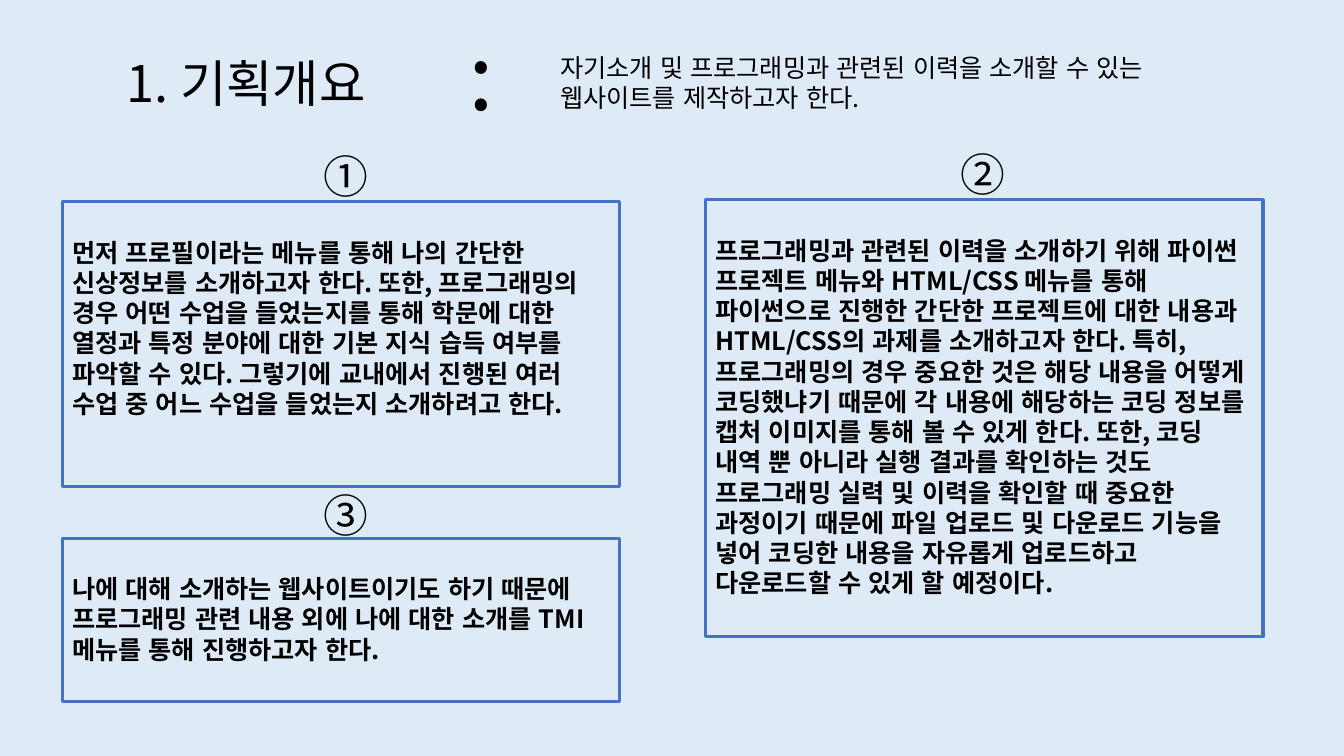
from dataclasses import dataclass

from lxml import etree
from pptx import Presentation
from pptx.dml.color import RGBColor
from pptx.enum.lang import MSO_LANGUAGE_ID
from pptx.enum.shapes import MSO_SHAPE
from pptx.enum.text import MSO_ANCHOR, MSO_AUTO_SIZE, PP_ALIGN
from pptx.oxml.ns import qn
from pptx.util import Cm, Pt

RECT = MSO_SHAPE.RECTANGLE
TOP = MSO_ANCHOR.TOP
LEFT = PP_ALIGN.LEFT
GROW = MSO_AUTO_SIZE.SHAPE_TO_FIT_TEXT
KOREAN = MSO_LANGUAGE_ID.KOREAN
FONT = "Noto Sans CJK KR"
COLORS = {"background": "DEEBF7", "border": "4472C4", "text": "000000"}
PANEL_WIDTH = 14.05
BADGE_WIDTH, BADGE_HEIGHT = 3.18, 1.63


@dataclass
class Label:
    left: float
    top: float
    width: float
    height: float
    size: int
    text: str


@dataclass
class Panel:
    left: float
    top: float
    height: float
    badge: str
    badge_left: float
    badge_top: float
    text: str


LABELS = [
    Label(2.95, 1.19, 16.31, 1.8, 36, "1. 기획개요"),
    Label(13.87, 1.19, 16.31, 2.57, 18,
          "자기소개 및 프로그래밍과 관련된 이력을 소개할 수 있는 웹사이트를 제작하고자 한다."),
    Label(11.56, 0.33, 2.64, 3.07, 66, ":"),
]

PANELS = [
    Panel(1.57, 5.08, 7.19, "①", 7.9, 3.63,
          "먼저 프로필이라는 메뉴를 통해 나의 간단한 신상정보를 소개하고자 한다. "
          "또한, 프로그래밍의 경우 어떤 수업을 들었는지를 통해 학문에 대한 열정과 "
          "특정 분야에 대한 기본 지식 습득 여부를 파악할 수 있다. 그렇기에 교내에서 "
          "진행된 여러 수업 중 어느 수업을 들었는지 소개하려고 한다."),
    Panel(17.78, 5.03, 11.02, "②", 23.95, 3.58,
          "프로그래밍과 관련된 이력을 소개하기 위해 파이썬 프로젝트 메뉴와 HTML/CSS "
          "메뉴를 통해 파이썬으로 진행한 간단한 프로젝트에 대한 내용과 HTML/CSS의 "
          "과제를 소개하고자 한다. 특히, 프로그래밍의 경우 중요한 것은 해당 내용을 "
          "어떻게 코딩했냐기 때문에 각 내용에 해당하는 코딩 정보를 캡처 이미지를 통해 "
          "볼 수 있게 한다. 또한, 코딩 내역 뿐 아니라 실행 결과를 확인하는 것도 "
          "프로그래밍 실력 및 이력을 확인할 때 중요한 과정이기 때문에 파일 업로드 및 "
          "다운로드 기능을 넣어 코딩한 내용을 자유롭게 업로드하고 다운로드할 수 있게 "
          "할 예정이다."),
    Panel(1.57, 13.56, 4.11, "③", 7.9, 12.17,
          "나에 대해 소개하는 웹사이트이기도 하기 때문에 프로그래밍 관련 내용 외에 "
          "나에 대한 소개를 TMI메뉴를 통해 진행하고자 한다."),
]


def set_all(target, values: dict) -> None:
    for name, value in values.items():
        setattr(target, name, value)


def write(tf, text: str, size: int, bold: bool, frame: dict) -> None:
    set_all(tf, {"word_wrap": True, "vertical_anchor": TOP, **frame})
    p = tf.paragraphs[0]
    p.alignment = LEFT
    r = p.add_run()
    r.text = text
    set_all(r.font, {"name": FONT, "size": Pt(size), "bold": bold,
                     "language_id": KOREAN})
    r.font.color.rgb = RGBColor.from_string(COLORS["text"])
    ea = etree.SubElement(r.font._element, qn("a:ea"))
    ea.set("typeface", FONT)


def add_label(s, label: Label) -> None:
    sp = s.shapes.add_textbox(Cm(label.left), Cm(label.top),
                              Cm(label.width), Cm(label.height))
    write(sp.text_frame, label.text, label.size, False, {"auto_size": GROW})


def add_panel(s, panel: Panel) -> None:
    sp = s.shapes.add_shape(RECT, Cm(panel.left), Cm(panel.top),
                            Cm(PANEL_WIDTH), Cm(panel.height))
    sp.shadow.inherit = False
    sp.fill.background()
    sp.line.color.rgb = RGBColor.from_string(COLORS["border"])
    sp.line.width = Pt(2.25)
    write(sp.text_frame, panel.text, 18, True, {"margin_top": Cm(0.89)})
    add_label(s, Label(panel.badge_left, panel.badge_top, BADGE_WIDTH,
                       BADGE_HEIGHT, 32, panel.badge))


def main() -> None:
    prs = Presentation()
    set_all(prs, {"slide_width": Cm(33.87), "slide_height": Cm(19.05)})
    s = prs.slides.add_slide(prs.slide_layouts[6])
    s.background.fill.solid()
    s.background.fill.fore_color.rgb = RGBColor.from_string(COLORS["background"])
    for label in LABELS:
        add_label(s, label)
    for panel in PANELS:
        add_panel(s, panel)
    prs.save("out.pptx")


if __name__ == "__main__":
    main()
